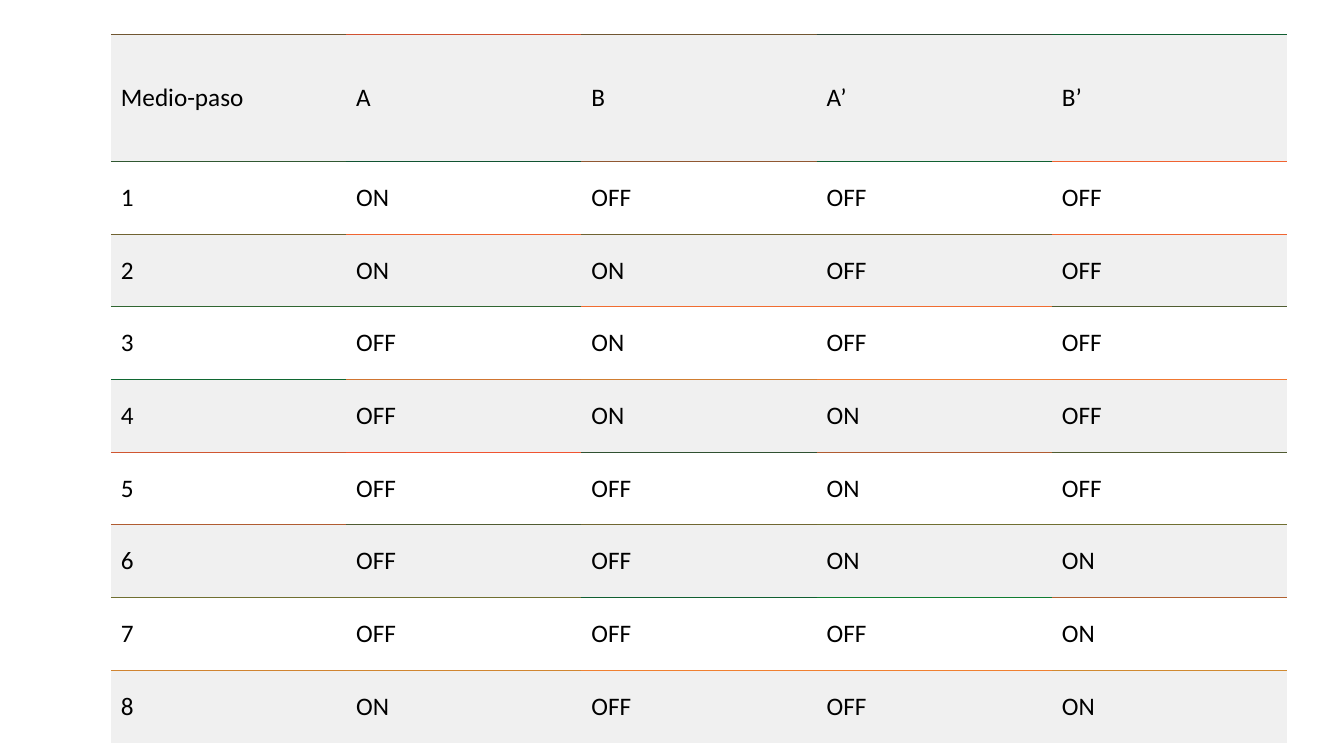
"""Build a slide with the half-step switching table of a stepper motor."""
from dataclasses import dataclass

from lxml import etree
from pptx import Presentation
from pptx.dml.color import RGBColor
from pptx.enum.text import MSO_ANCHOR
from pptx.oxml.ns import qn
from pptx.table import Table, _Cell
from pptx.util import Pt

MIDDLE = MSO_ANCHOR.MIDDLE
FONT = "Calibri"
LEFT, TOP = 79.2, 24.6
COL_WIDTH = 168.05
HEAD_HEIGHT, STEP_HEIGHT = 90.7, 51.93
LINE_WIDTH = 0.6
COLORS = {
    "ink": "000000",
    "band": "F0F0F0",
    "plain": "FFFFFF",
    "edge 0": "705631 D05131 705631 304531 105E31",
    "edge 1": "305731 105331 905731 106031 F06331",
    "edge 2": "706331 F06531 706331 706331 F06531",
    "edge 3": "306631 306631 F06D31 F06D31 505D31",
    "edge 4": "106731 D07531 D07E31 F07D31 F07831",
    "edge 5": "D05631 F05431 305031 B05C31 505B31",
    "edge 6": "B05C31 505B31 706731 706F31 706F31",
    "edge 7": "706F31 706F31 105F31 107D31 B06131",
    "edge 8": "D08431 D08631 F08031 F08031 D08A31",
}


@dataclass
class Row:
    """One table row, with its cells split by blanks."""
    text: str
    height: float = STEP_HEIGHT


ROWS = [
    Row("Medio-paso A B A’ B’", HEAD_HEIGHT),
    Row("1 ON OFF OFF OFF"),
    Row("2 ON ON OFF OFF"),
    Row("3 OFF ON OFF OFF"),
    Row("4 OFF ON ON OFF"),
    Row("5 OFF OFF ON OFF"),
    Row("6 OFF OFF ON ON"),
    Row("7 OFF OFF OFF ON"),
    Row("8 ON OFF OFF ON"),
]
COLS = len(ROWS[0].text.split())


def edge_color(edge: int, col: int) -> str | None:
    """Return the colour of a rule over one column, or None below the table."""
    return COLORS[f"edge {edge}"].split()[col] if edge < len(ROWS) else None


def draw_edge(cell: _Cell, side: str, color: str | None) -> None:
    """Give one side of a cell a coloured line, or none."""
    line = etree.SubElement(cell._tc.get_or_add_tcPr(), qn(f"a:ln{side}"))
    line.set("w", str(Pt(LINE_WIDTH)))
    if color is None:
        etree.SubElement(line, qn("a:noFill"))
    else:
        fill = etree.SubElement(line, qn("a:solidFill"))
        etree.SubElement(fill, qn("a:srgbClr")).set("val", color)


def draw_cell(cell: _Cell, text: str, row: int, col: int) -> None:
    """Write and format one cell."""
    cell.text = text
    cell.vertical_anchor = MIDDLE
    cell.margin_left, cell.margin_right = Pt(7.2), Pt(5.76)
    cell.margin_top = cell.margin_bottom = Pt(3.6)
    font = cell.text_frame.paragraphs[0].font
    font.name, font.size, font.bold = FONT, Pt(18), False
    font.color.rgb = RGBColor.from_string(COLORS["ink"])
    draw_edge(cell, "L", None)
    draw_edge(cell, "R", None)
    draw_edge(cell, "T", edge_color(row, col))
    draw_edge(cell, "B", edge_color(row + 1, col))
    cell.fill.solid()
    shade = COLORS["plain" if row % 2 else "band"]
    cell.fill.fore_color.rgb = RGBColor.from_string(shade)


def draw_rows(table: Table) -> None:
    """Size the table and fill in every row."""
    table.first_row = table.horz_banding = False
    for column in table.columns:
        column.width = Pt(COL_WIDTH)
    for i, row in enumerate(ROWS):
        table.rows[i].height = Pt(row.height)
        for j, text in enumerate(row.text.split()):
            draw_cell(table.cell(i, j), text, i, j)


def main() -> None:
    """Make the slide and save it."""
    deck = Presentation()
    deck.slide_width, deck.slide_height = Pt(960), Pt(540)
    slide = deck.slides.add_slide(deck.slide_layouts.get_by_name("Blank"))
    height = sum(row.height for row in ROWS)
    frame = slide.shapes.add_table(
        len(ROWS), COLS, Pt(LEFT), Pt(TOP), Pt(COLS * COL_WIDTH), Pt(height))
    draw_rows(frame.table)
    deck.save("out.pptx")


if __name__ == "__main__":
    main()
